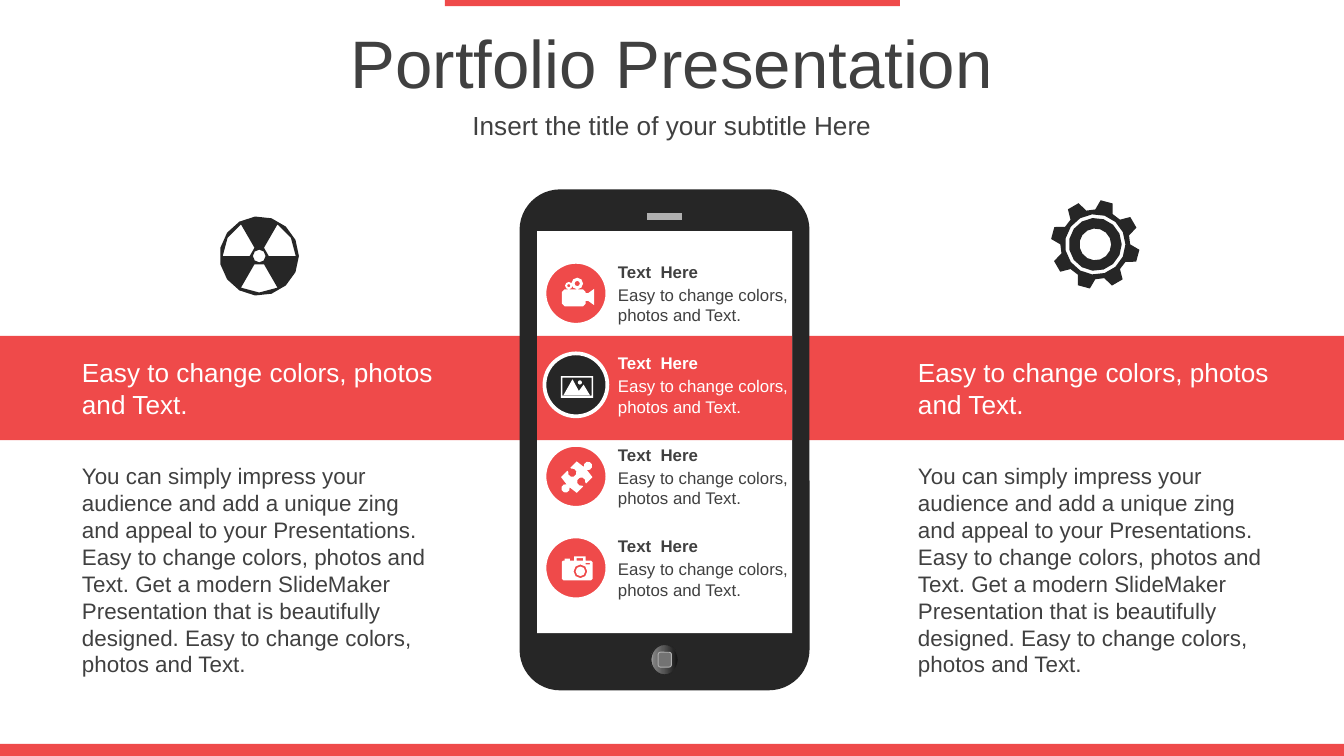
from math import cos, radians, sin

from lxml.etree import SubElement
from pptx import Presentation
from pptx.dml.color import RGBColor
from pptx.enum.shapes import MSO_SHAPE
from pptx.enum.text import MSO_ANCHOR, PP_ALIGN
from pptx.oxml.ns import qn
from pptx.util import Cm, Pt

RED, DARK, GREY, SILVER, WHITE = "EF4A4A", "262626", "404040", "B0B0B0", "FFFFFF"
TAGLINE = "Easy to change colors, photos and Text."
DETAILS = [
    "You can simply impress your audience and add a unique zing and appeal to your Presentations.",
    "Easy to change colors, photos and Text. Get a modern SlideMaker Presentation that is "
    "beautifully designed. Easy to change colors, photos and Text.",
]
UNITS_PER_CM = 1000


def color(value):
    return RGBColor.from_string(value)


def add_shape(shapes, kind, left, top, width, height, fill, line=None, line_width=0):
    shape = shapes.add_shape(kind, Cm(left), Cm(top), Cm(width), Cm(height))
    shape.shadow.inherit = False
    shape.fill.solid()
    shape.fill.fore_color.rgb = color(fill)
    if line:
        shape.line.color.rgb = color(line)
        shape.line.width = Pt(line_width)
    else:
        shape.line.fill.background()
    return shape


def add_text(shapes, left, top, width, height, texts, size, ink, bold=False, align=PP_ALIGN.LEFT):
    box = shapes.add_textbox(Cm(left), Cm(top), Cm(width), Cm(height))
    frame = box.text_frame
    frame.word_wrap = True
    frame.vertical_anchor = MSO_ANCHOR.MIDDLE
    for index, text in enumerate(texts):
        para = frame.add_paragraph() if index else frame.paragraphs[0]
        para.alignment = align
        span = para.add_run()
        span.text = text
        span.font.name = "Arial"
        span.font.size = Pt(size)
        span.font.bold = bold
        span.font.color.rgb = color(ink)


def set_gradient(shape, stops, angle):
    shape.fill.gradient()
    shape.fill.gradient_angle = angle
    stop_list = shape.element.spPr.find(qn("a:gradFill")).find(qn("a:gsLst"))
    for old in list(stop_list):
        stop_list.remove(old)
    for percent, value in stops:
        stop = SubElement(stop_list, qn("a:gs"), pos=str(percent * 1000))
        SubElement(stop, qn("a:srgbClr"), val=value)


def add_outline(shapes, contours, fill):
    contours = [[(x * UNITS_PER_CM, y * UNITS_PER_CM) for x, y in points] for points in contours]
    builder = shapes.build_freeform(*contours[0][0], scale=Cm(1) / UNITS_PER_CM)
    for index, points in enumerate(contours):
        if index:
            builder.move_to(*points[0])
        builder.add_line_segments(points[1:], close=True)
    shape = builder.convert_to_shape()
    shape.shadow.inherit = False
    shape.fill.solid()
    shape.fill.fore_color.rgb = color(fill)
    shape.line.fill.background()
    return shape


def arc(x, y, radius, start, end):
    step = 24 if radius > 0.2 else 45
    count = max(1, round(abs(end - start) / step))
    angles = [radians(start + (end - start) * index / count) for index in range(count + 1)]
    return [(x + radius * cos(angle), y + radius * sin(angle)) for angle in angles]


def circle(x, y, radius):
    return arc(x, y, radius, 0, 360)[:-1]


def rectangle(left, top, right, bottom):
    return [(left, top), (right, top), (right, bottom), (left, bottom)]


def add_video_icon(shapes):
    body = [(10.62, 5.52), (10.67, 5.47), (11.02, 5.47), (11.07, 5.52), (11.07, 5.54),
            (11.12, 5.54), (11.23, 5.46), (11.23, 5.77), (11.12, 5.69), (11.07, 5.69),
            (11.07, 5.74), (11.02, 5.79), (10.67, 5.79), (10.62, 5.74)]
    add_outline(shapes, [
        body, circle(10.91, 5.36, 0.11), circle(10.91, 5.36, 0.05),
        circle(10.75, 5.40, 0.07), circle(10.75, 5.40, 0.03),
    ], WHITE)


def add_photo_icon(shapes):
    mountains = [(10.82, 7.17), (10.94, 7.39), (11.03, 7.27), (11.15, 7.47), (10.65, 7.47)]
    add_outline(shapes, [
        rectangle(10.60, 7.11, 11.21, 7.52), rectangle(10.63, 7.14, 11.18, 7.48),
        mountains, circle(10.96, 7.23, 0.04),
    ], WHITE)


def add_puzzle_icon(shapes):
    half = [(-0.21, -0.21), *arc(0, -0.30, 0.08, 120, 420), (0.21, -0.21),
            (0.21, -0.04), *arc(0.12, 0, 0.08, 330, 30), (0.21, 0.04)]
    piece = half + [(-x, -y) for x, y in half]
    shape = add_outline(shapes, [[(10.90 + x, 9.02 + y) for x, y in piece]], WHITE)
    shape.rotation = 45


def add_camera_icon(shapes):
    body = [(10.62, 10.62), (10.64, 10.60), (10.67, 10.60), (10.67, 10.56), (10.77, 10.56),
            (10.77, 10.60), (10.85, 10.60), (10.85, 10.52), (11.07, 10.52), (11.07, 10.60),
            (11.17, 10.60), (11.20, 10.63), (11.20, 10.94), (11.17, 10.97), (10.65, 10.97),
            (10.62, 10.94)]
    add_outline(shapes, [
        body, rectangle(10.90, 10.55, 11.02, 10.60), rectangle(11.07, 10.64, 11.15, 10.67),
        circle(10.97, 10.80, 0.13), circle(10.97, 10.80, 0.09),
    ], WHITE)


def add_radiation_icon(shapes, x, y):
    wedges = [arc(x, y, 0.69, start, start + 60) + arc(x, y, 0.18, start + 60, start)
              for start in (60, 180, 300)]
    add_outline(shapes, [circle(x, y, 0.75), circle(x, y, 0.12), *wedges], DARK)


def add_gear_icon(shapes, x, y):
    teeth = []
    for middle in range(-75, 285, 45):
        teeth += arc(x, y, 0.84, middle - 8, middle + 8)
        teeth += arc(x, y, 0.66, middle + 15, middle + 30)
    add_outline(shapes, [teeth, *[circle(x, y, radius) for radius in (0.57, 0.50, 0.30)]], DARK)


def add_phone(page):
    phone = page.shapes.add_group_shape().shapes
    case = add_shape(phone, MSO_SHAPE.ROUNDED_RECTANGLE, 9.82, 3.58, 5.48, 9.47, DARK)
    case.adjustments[0] = 0.14
    add_shape(phone, MSO_SHAPE.RECTANGLE, 12.23, 4.03, 0.66, 0.13, SILVER)
    button = add_shape(phone, MSO_SHAPE.OVAL, 12.30, 12.18, 0.52, 0.58, DARK, DARK)
    set_gradient(button, [(0, "0F0F0F"), (56, "595959"), (91, "808080"), (100, "BFBFBF")], 180)
    add_shape(phone, MSO_SHAPE.ROUNDED_RECTANGLE, 12.44, 12.33, 0.25, 0.28, "737373", SILVER, 0.5)
    add_shape(page.shapes, MSO_SHAPE.RECTANGLE, 10.15, 4.37, 4.82, 7.60, WHITE)
    add_shape(page.shapes, MSO_SHAPE.RECTANGLE, 10.15, 6.35, 4.82, 1.97, RED)


def add_menu_row(page, index, add_icon):
    selected = index == 1
    top = 4.95 + 1.73 * index
    ink = WHITE if selected else GREY
    add_shape(page.shapes, MSO_SHAPE.OVAL, 10.29, top, 1.19, 1.19, DARK if selected else RED, WHITE, 2)
    add_icon(page.shapes)
    label = page.shapes.add_group_shape().shapes
    add_text(label, 11.43, top + 0.30, 3.78, 1.02, [TAGLINE], 9, ink)
    add_text(label, 11.43, top - 0.14, 3.78, 0.64, ["Text  Here"], 9, ink, bold=True)


def main():
    deck = Presentation()
    deck.slide_width, deck.slide_height = Cm(25.4), Cm(14.29)
    page = deck.slides.add_slide(deck.slide_layouts[6])
    shapes = page.shapes

    add_shape(shapes, MSO_SHAPE.RECTANGLE, 8.41, 0, 8.60, 0.12, RED)
    add_shape(shapes, MSO_SHAPE.RECTANGLE, 0, 14.06, 25.4, 0.23, RED)
    add_shape(shapes, MSO_SHAPE.RECTANGLE, 0, 6.35, 25.4, 1.97, RED)
    add_phone(page)
    add_text(shapes, 0, 0.36, 25.4, 1.60, ["Portfolio Presentation"], 36, GREY, align=PP_ALIGN.CENTER)
    add_text(shapes, 0, 1.96, 25.4, 0.79, ["Insert the title of your subtitle Here"], 14, GREY,
             align=PP_ALIGN.CENTER)

    icons = [add_video_icon, add_photo_icon, add_puzzle_icon, add_camera_icon]
    for index, add_icon in enumerate(icons):
        add_menu_row(page, index, add_icon)
    for left in (1.30, 17.10):
        add_text(shapes, left, 6.61, 7.19, 1.45, [TAGLINE], 14, WHITE)
        add_text(shapes, left, 8.59, 7.19, 4.37, DETAILS, 12, GREY)
    add_radiation_icon(shapes, 4.90, 4.84)
    add_gear_icon(shapes, 20.70, 4.62)
    deck.save("out.pptx")


if __name__ == "__main__":
    main()
